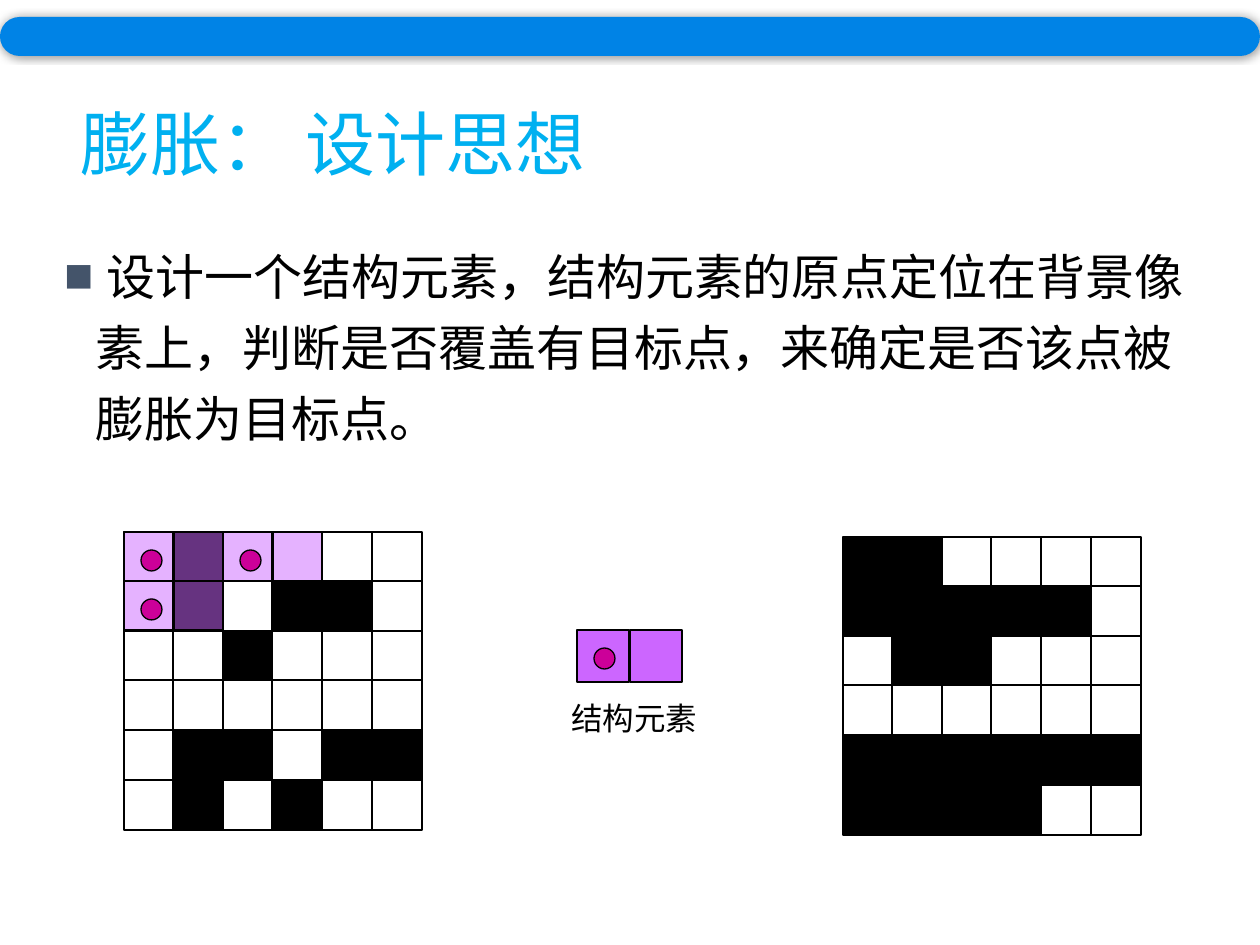
"""Build the slide on the design idea of dilation."""

from dataclasses import dataclass

from lxml.etree import SubElement
from pptx import Presentation
from pptx.dml.color import RGBColor
from pptx.enum.shapes import MSO_SHAPE
from pptx.enum.text import MSO_ANCHOR, PP_ALIGN
from pptx.oxml.ns import qn
from pptx.util import Emu, Pt

SCALE = 914400 / 126
SOURCE = (".#....", ".#.##.", "..#...", "......", ".##.##", ".#.#..")


@dataclass(frozen=True)
class Theme:
    """Colours, fonts and type sizes of the slide."""

    title: str = "00B0F0"
    ink: str = "000000"
    paper: str = "FFFFFF"
    bar: str = "0083E6"
    mark: str = "44546A"
    probe: str = "CC66FF"
    dot: str = "CC0099"
    sans: str = "Noto Sans CJK SC"
    serif: str = "Times New Roman"
    head: int = 40
    body: int = 28
    note: int = 18
    pitch: float = 40.6


THEME = Theme()


def px(count):
    """Turn pixels into EMU."""
    return Emu(round(count * SCALE))


def place(shape, left, top, width, height):
    """Move and size a shape in pixels."""
    shape.left, shape.top = px(left), px(top)
    shape.width, shape.height = px(width), px(height)


def write(frame, text, size, color, font):
    """Write one left-aligned paragraph and return it."""
    frame.text = text
    frame.word_wrap = True
    para = frame.paragraphs[0]
    para.alignment = PP_ALIGN.LEFT
    for run in para.runs:
        run.font.size = Pt(size)
        run.font.name = font
        run.font.color.rgb = RGBColor.from_string(color)
        if font == THEME.sans:
            SubElement(run.font._element, qn("a:ea"), typeface=font)
    return para


def add_box(shapes, left, top, width, height):
    """Add a text box and return its frame."""
    return shapes.add_textbox(px(left), px(top), px(width), px(height)).text_frame


def add_mark(para, color):
    """Give a paragraph a hanging square bullet."""
    props = para._p.get_or_add_pPr()
    props.set("marL", "228600")
    props.set("indent", "-228600")
    tint = SubElement(props, qn("a:buClr"))
    SubElement(tint, qn("a:srgbClr"), val=color)
    SubElement(props, qn("a:buSzPct"), val="60000")
    SubElement(props, qn("a:buFont"), typeface=THEME.sans)
    SubElement(props, qn("a:buChar"), char="■")


def add_form(shapes, kind, left, top, width, height, fill, line=True, alpha=None):
    """Add a filled preset shape, outlined unless told otherwise."""
    shape = shapes.add_shape(kind, px(left), px(top), px(width), px(height))
    shape.shadow.inherit = False
    shape.fill.solid()
    shape.fill.fore_color.rgb = RGBColor.from_string(fill)
    if alpha:
        tint = shape._element.spPr.find(qn("a:solidFill"))[0]
        SubElement(tint, qn("a:alpha"), val=str(alpha * 1000))
    if line:
        shape.line.color.rgb = RGBColor.from_string(THEME.ink)
        shape.line.width = Pt(0.75)
    else:
        shape.line.fill.background()
    return shape


def add_bar(shapes):
    """Add the rounded top bar with its soft shadow."""
    bar = add_form(shapes, MSO_SHAPE.ROUNDED_RECTANGLE, 0, 17, 1260, 39, THEME.bar, False)
    bar.adjustments[0] = 0.5
    effect = bar._element.spPr.find(qn("a:effectLst"))
    glow = SubElement(effect, qn("a:outerShdw"), blurRad=str(Pt(5)), dist="0", dir="0")
    tint = SubElement(glow, qn("a:srgbClr"), val=THEME.ink)
    SubElement(tint, qn("a:alpha"), val="40000")


def dilate(rows):
    """Set each cell that is set itself or has a set right neighbour."""
    return ["".join("#" if "#" in row[i:i + 2] else "." for i in range(len(row))) for row in rows]


def step(index):
    """Give the offset of a grid row or column."""
    return index * 248 // 5


def add_grid(slide, left, top, rows):
    """Add a group of square cells, black where set."""
    shapes = slide.shapes.add_group_shape().shapes
    for i, row in enumerate(rows):
        for j, cell in enumerate(row):
            fill = THEME.ink if cell == "#" else THEME.paper
            add_form(shapes, MSO_SHAPE.RECTANGLE, left + step(j), top + step(i), 50, 50, fill)


def add_probe(slide, left, top, size, alpha=None):
    """Add the two-cell element with its origin dot and return the group."""
    group = slide.shapes.add_group_shape()
    for col in range(2):
        add_form(group.shapes, MSO_SHAPE.RECTANGLE, left + col * (size + 1), top,
                 size, size, THEME.probe, alpha=alpha)
    add_form(group.shapes, MSO_SHAPE.OVAL, left + 17, top + 18, 21, 21, THEME.dot)
    return group


def main():
    """Build and save the slide."""
    deck = Presentation()
    deck.slide_width, deck.slide_height = px(1260), px(945)
    slide = deck.slides.add_slide(deck.slide_layouts[5])

    title = slide.shapes.title
    place(title, 68, 69, 966, 158)
    title.text_frame.vertical_anchor = MSO_ANCHOR.MIDDLE
    para = write(title.text_frame, "膨胀： 设计思想", THEME.head, THEME.title, THEME.sans)
    para.line_spacing = 0.9

    frame = add_box(slide.shapes, 52, 224, 1163, 249)
    frame.margin_top = px(10)
    text = " 设计一个结构元素，结构元素的原点定位在背景像素上，判断是否覆盖有目标点，来确定是否该点被膨胀为目标点。"
    para = write(frame, text, THEME.body, THEME.ink, THEME.sans)
    para.line_spacing = Pt(THEME.pitch)
    add_mark(para, THEME.mark)

    probe = add_probe(slide, 577, 630, 52)
    frame = add_box(probe.shapes, 559, 693, 179, 50)
    write(frame, "结构元素", THEME.note, THEME.ink, THEME.serif)

    left, top = 124, 532
    add_grid(slide, left, top, SOURCE)
    for row, col in ((0, 0), (0, 2), (1, 0)):
        add_probe(slide, left + step(col), top + step(row), 49, 50)
    add_grid(slide, 843, 537, dilate(SOURCE))
    add_bar(slide.shapes)
    deck.save("out.pptx")


if __name__ == "__main__":
    main()
